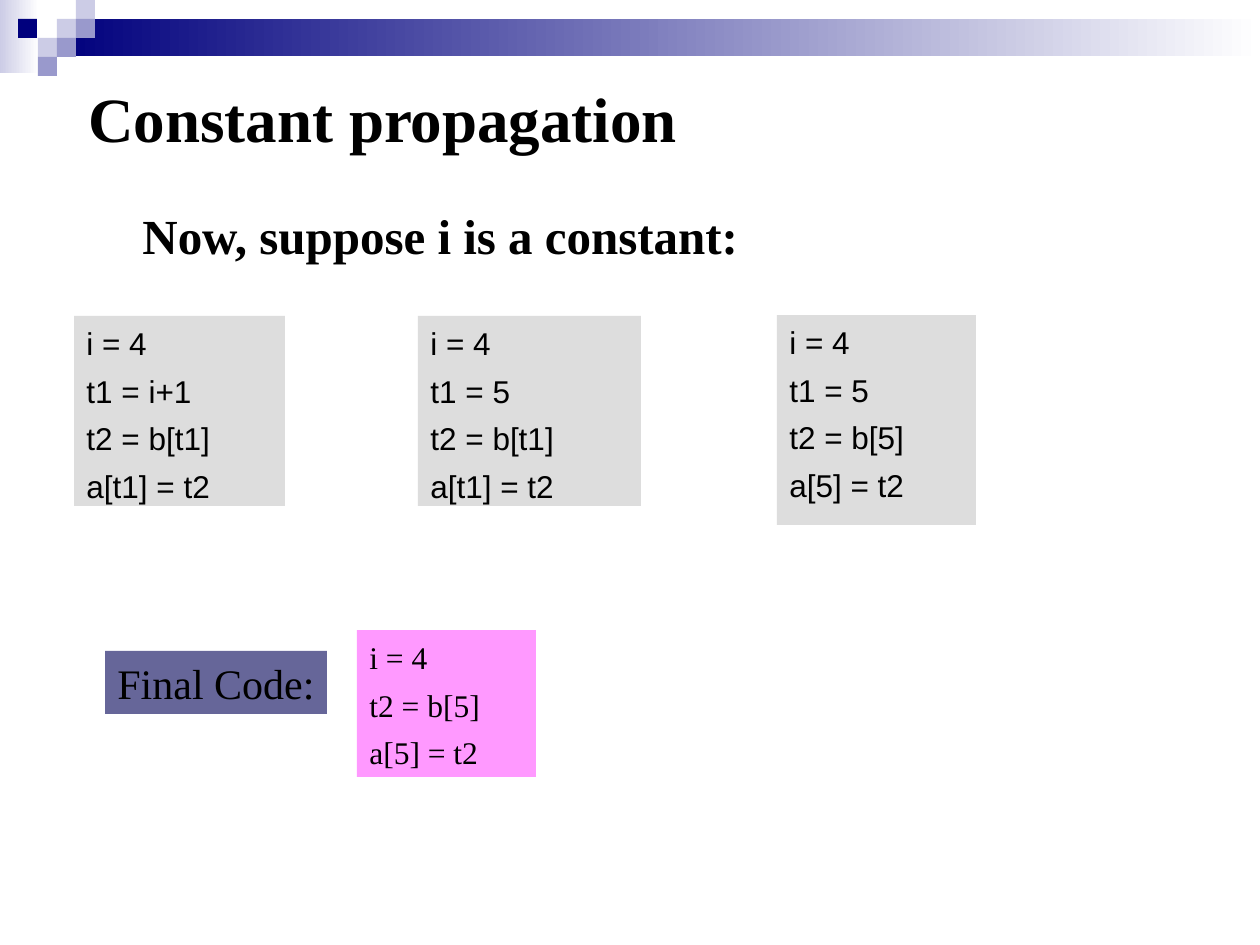
import pptx
import pptx.dml.color
import pptx.enum.shapes
import pptx.enum.text
import pptx.util

SCALE = 914400 / 126
SERIF = "Times New Roman"
SANS = "Arial"
NAVY, LILAC, VIOLET = "00007D", "CCCCE6", "9999CC"
GREY, PINK, SLATE = "DDDDDD", "FF99FF", "666699"


def px(n):
    return pptx.util.Emu(round(n * SCALE))


def rgb(value):
    return pptx.dml.color.RGBColor.from_string(value)


class Deck:
    """Draws styled elements on the current slide."""

    def __init__(self, prs):
        self.s = prs.slides.add_slide(prs.slide_layouts[6])
        self.color = "000000"

    def rect(self, x, y, w, h, fill):
        kind = pptx.enum.shapes.MSO_SHAPE.RECTANGLE
        sp = self.s.shapes.add_shape(kind, px(x), px(y), px(w), px(h))
        sp.shadow.inherit = False
        sp.line.fill.background()
        sp.fill.solid()
        sp.fill.fore_color.rgb = rgb(fill)
        return sp

    def fade(self, x, y, w, h, start):
        sp = self.rect(x, y, w, h, start)
        sp.fill.gradient()
        sp.fill.gradient_angle = 0
        for stop, value, pos in zip(sp.fill.gradient_stops, (start, "FFFFFF"), (0, 1)):
            stop.color.rgb = rgb(value)
            stop.position = pos

    def set_text(self, sp, text, size, font, bold=False, wrap=False):
        tf = sp.text_frame
        tf.text = text
        tf.word_wrap = wrap
        tf.vertical_anchor = pptx.enum.text.MSO_ANCHOR.TOP
        for p in tf.paragraphs:
            p.alignment = pptx.enum.text.PP_ALIGN.LEFT
            for r in p.runs:
                r.font.size = pptx.util.Pt(size)
                r.font.name = font
                r.font.bold = bold
                r.font.color.rgb = rgb(self.color)
        return tf

    def heading(self, x, y, w, h, text, size):
        sp = self.s.shapes.add_textbox(px(x), px(y), px(w), px(h))
        self.set_text(sp, text, size, SERIF, bold=True)

    def label(self, x, y, w, h, text, fill):
        self.set_text(self.rect(x, y, w, h, fill), text, 24, SERIF)

    def code(self, x, y, w, h, lines, fill, font):
        sp = self.rect(x, y, w, h, fill)
        tf = self.set_text(sp, "\n".join(lines), 18, font, wrap=True)
        for p in tf.paragraphs:
            p.space_before = pptx.util.Pt(4.5)
            p.line_spacing = 1.05


def main():
    prs = pptx.Presentation()
    prs.slide_width, prs.slide_height = px(1260), px(945)
    deck = Deck(prs)

    deck.fade(0, 0, 39, 73, LILAC)
    deck.fade(57, 19, 1203, 37, NAVY)
    for x, y, fill in (
        (57, 19, LILAC), (76, 0, LILAC), (76, 19, VIOLET), (38, 38, LILAC),
        (18, 19, NAVY), (57, 38, VIOLET), (38, 57, VIOLET),
    ):
        deck.rect(x, y, 19, 19, fill)

    deck.heading(76, 73, 615, 88, "Constant propagation", 36)
    deck.heading(130, 199, 622, 72, "Now, suppose i is a constant:", 28)

    for x, y, w, h, lines in (
        (74, 316, 211, 190, ("i = 4", "t1 = i+1", "t2 = b[t1]", "a[t1] = t2")),
        (418, 316, 223, 190, ("i = 4", "t1 = 5", "t2 = b[t1]", "a[t1] = t2")),
        (777, 315, 199, 210, ("i = 4", "t1 = 5", "t2 = b[5]", "a[5] = t2")),
    ):
        deck.code(x, y, w, h, lines, GREY, SANS)

    deck.label(105, 651, 222, 63, "Final Code:", SLATE)
    deck.code(357, 630, 179, 147, ("i = 4", "t2 = b[5]", "a[5] = t2"), PINK, SERIF)
    prs.save("out.pptx")


if __name__ == "__main__":
    main()
